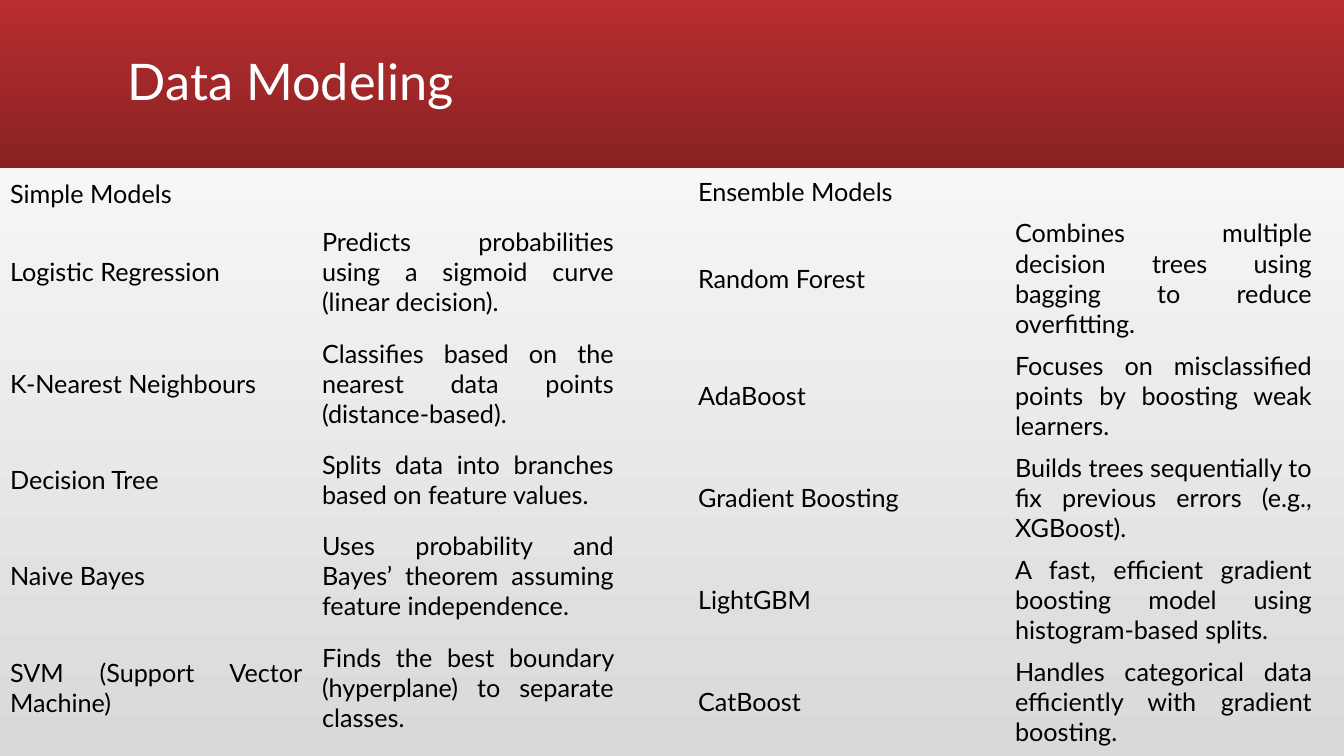
"""Build the Data Modeling slide with its two model tables."""
from pptx import Presentation
from pptx import util as u
from pptx.dml import color
from pptx.enum import shapes, text

PX = 12192000 / 1344


def px(*lengths):
    return [u.Emu(round(length * PX)) for length in lengths]


def paint(fill, angle, *stops):
    fill.gradient()
    fill.gradient_angle = angle
    for stop, hex_code in zip(fill.gradient_stops, stops):
        stop.color.rgb = color.RGBColor.from_string(hex_code)


NO_GRID = "{2D5ABB26-0587-4C30-8999-92F81FD0307C}"
SIMPLE = [
    ("Simple Models", ""),
    ("Logistic Regression", "Predicts probabilities using a sigmoid curve (linear decision)."),
    ("K-Nearest Neighbours", "Classifies based on the nearest data points (distance-based)."),
    ("Decision Tree", "Splits data into branches based on feature values."),
    ("Naive Bayes", "Uses probability and Bayes’ theorem assuming feature independence."),
    ("SVM (Support Vector Machine)", "Finds the best boundary (hyperplane) to separate classes."),
]
ENSEMBLE = [
    ("Ensemble Models", ""),
    ("Random Forest", "Combines multiple decision trees using bagging to reduce overfitting."),
    ("AdaBoost", "Focuses on misclassified points by boosting weak learners."),
    ("Gradient Boosting", "Builds trees sequentially to fix previous errors (e.g., XGBoost)."),
    ("LightGBM", "A fast, efficient gradient boosting model using histogram-based splits."),
    ("CatBoost", "Handles categorical data efficiently with gradient boosting."),
]
MODEL_GROUPS = [
    (0, 312, [45, 112, 112, 80, 112, 112], SIMPLE),
    (688, 317, [41, 133, 102, 102, 102, 102], ENSEMBLE),
]

deck = Presentation()
deck.slide_width, deck.slide_height = px(1344, 756)
slide = deck.slides.add_slide(deck.slide_layouts[6])
paint(slide.background.fill, 90, "D9D9D9", "FFFFFF")

band = slide.shapes.add_shape(shapes.MSO_SHAPE.RECTANGLE, *px(0, 0, 1344, 168))
band.shadow.inherit = False
band.line.fill.background()
paint(band.fill, 270, "B82D2F", "8A2223")

title = slide.shapes.add_textbox(*px(118, 11, 1109, 146)).text_frame
title.word_wrap = True
title.vertical_anchor = text.MSO_ANCHOR.MIDDLE
heading = title.paragraphs[0]
heading.line_spacing = 0.9
title_run = heading.add_run()
title_run.text = "Data Modeling"
title_run.font.name = "Lato"
title_run.font.size = u.Pt(36)
title_run.font.color.rgb = color.RGBColor.from_string("FFFFFF")

for left, column_width, row_heights, models in MODEL_GROUPS:
    frame = slide.shapes.add_table(
        len(models), 2, *px(left, 171, 2 * column_width, sum(row_heights)))
    grid = frame.table
    grid.first_row = grid.horz_banding = False
    grid._tbl.tblPr[0].text = NO_GRID
    for column in grid.columns:
        column.width = px(column_width)[0]
    for row, height, model in zip(grid.rows, row_heights, models):
        row.height = px(height)[0]
        for cell, wording in zip(row.cells, model):
            cell.fill.background()
            cell.vertical_anchor = text.MSO_ANCHOR.MIDDLE
            paragraph = cell.text_frame.paragraphs[0]
            paragraph.alignment = text.PP_ALIGN.JUSTIFY
            if wording:
                run = paragraph.add_run()
                run.text = wording
                run.font.name = "Lato"
                run.font.size = u.Pt(18)
                run.font.color.rgb = color.RGBColor.from_string("000000")

deck.save("out.pptx")
